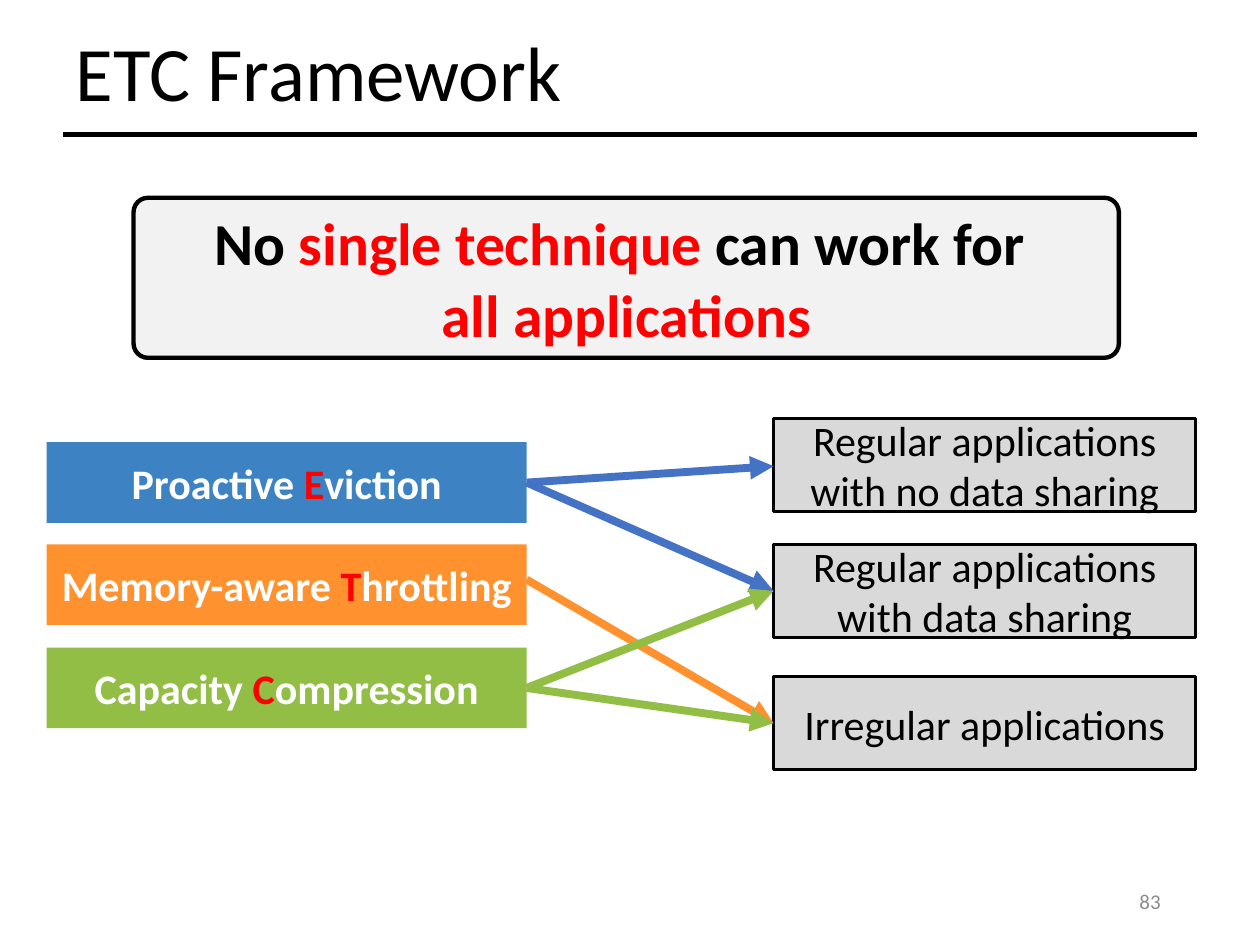
"""Build the ETC Framework slide linking three techniques to application types."""
from lxml import etree
from pptx import Presentation
from pptx.dml.color import RGBColor
from pptx.enum.shapes import MSO_CONNECTOR, MSO_SHAPE
from pptx.enum.text import MSO_ANCHOR, PP_ALIGN
from pptx.oxml.ns import qn
from pptx.util import Inches, Pt

STRAIGHT = MSO_CONNECTOR.STRAIGHT
RECTANGLE = MSO_SHAPE.RECTANGLE
ROUNDED = MSO_SHAPE.ROUNDED_RECTANGLE
MIDDLE = MSO_ANCHOR.MIDDLE
LEFT, CENTER, RIGHT = PP_ALIGN.LEFT, PP_ALIGN.CENTER, PP_ALIGN.RIGHT

BLACK = RGBColor(0x00, 0x00, 0x00)
WHITE = RGBColor(0xFF, 0xFF, 0xFF)
RED = RGBColor(0xFF, 0x00, 0x00)
PALE_GRAY = RGBColor(0xF2, 0xF2, 0xF2)
LIGHT_GRAY = RGBColor(0xD9, 0xD9, 0xD9)
NUMBER_GRAY = RGBColor(0x8C, 0x8C, 0x8C)
BLUE = RGBColor(0x3D, 0x83, 0xC4)
ARROW_BLUE = RGBColor(0x44, 0x72, 0xC4)
ORANGE = RGBColor(0xFF, 0x92, 0x2F)
GREEN = RGBColor(0x92, 0xBE, 0x46)


def write_text(shape, paragraphs, size, bold=False, alignment=CENTER):
    frame = shape.text_frame
    frame.word_wrap = True
    frame.vertical_anchor = MIDDLE
    for index, runs in enumerate(paragraphs):
        paragraph = frame.add_paragraph() if index else frame.paragraphs[0]
        paragraph.alignment = alignment
        for text, color in runs:
            run = paragraph.add_run()
            run.text = text
            run.font.name = "Calibri"
            run.font.size = Pt(size)
            run.font.bold = bold
            run.font.color.rgb = color


def add_line(start, end, color, width, arrow=False):
    points = [Inches(value) for value in (*start, *end)]
    connector = slide.shapes.add_connector(STRAIGHT, *points)
    connector.line.color.rgb = color
    connector.line.width = Pt(width)
    if arrow:
        line = connector.line._get_or_add_ln()
        etree.SubElement(line, qn("a:tailEnd"), type="triangle")
    etree.SubElement(connector._element.spPr, qn("a:effectLst"))


presentation = Presentation()
presentation.slide_width = Inches(10)
presentation.slide_height = Inches(7.5)
slide = presentation.slides.add_slide(presentation.slide_layouts[5])

title = slide.shapes.title
title.left, title.top = Inches(0.5), Inches(0.14)
title.width, title.height = Inches(9), Inches(0.93)
write_text(title, [[("ETC Framework", BLACK)]], 44, alignment=LEFT)
title.text_frame.paragraphs[0].line_spacing = 0.9
add_line((0.5, 1.07), (9.5, 1.07), BLACK, 3)

message = [
    [("No ", BLACK), ("single technique", RED), (" can work for ", BLACK)],
    [("all applications", RED)],
]
techniques = [
    (3.51, BLUE, "Proactive ", "E", "viction"),
    (4.32, ORANGE, "Memory-aware ", "T", "hrottling"),
    (5.14, GREEN, "Capacity ", "C", "ompression"),
]
applications = [
    (3.32, "Regular applications with no data sharing"),
    (4.32, "Regular applications with data sharing"),
    (5.37, "Irregular applications"),
]

boxes = [(ROUNDED, (1.06, 1.57, 7.82, 1.27), PALE_GRAY, 2.5, message, 34, True)]
for top, fill, before, initial, after in techniques:
    runs = [(before, WHITE), (initial, RED), (after, WHITE)]
    boxes.append((RECTANGLE, (0.37, top, 3.81, 0.64), fill, 0, [runs], 24, True))
for top, label in applications:
    runs = [(label, BLACK)]
    boxes.append((RECTANGLE, (6.14, top, 3.35, 0.74), LIGHT_GRAY, 1.5, [runs], 24, False))

for kind, bounds, fill, line_width, paragraphs, size, bold in boxes:
    box = slide.shapes.add_shape(kind, *[Inches(value) for value in bounds])
    box.shadow.inherit = False
    box.fill.solid()
    box.fill.fore_color.rgb = fill
    if kind == ROUNDED:
        box.adjustments[0] = 0.09
    if line_width:
        box.line.color.rgb = BLACK
        box.line.width = Pt(line_width)
    else:
        box.line.fill.background()
    write_text(box, paragraphs, size, bold)

arrows = [
    (3.83, 3.7, ARROW_BLUE),
    (3.83, 4.69, ARROW_BLUE),
    (4.6, 5.74, ORANGE),
    (5.46, 4.69, GREEN),
    (5.46, 5.74, GREEN),
]
for start_y, end_y, color in arrows:
    add_line((4.18, start_y), (6.14, end_y), color, 4.5, arrow=True)

slide_number = slide.shapes.add_textbox(Inches(7.06), Inches(6.95), Inches(2.25), Inches(0.4))
write_text(slide_number, [[("83", NUMBER_GRAY)]], 12, alignment=RIGHT)

presentation.save("out.pptx")
